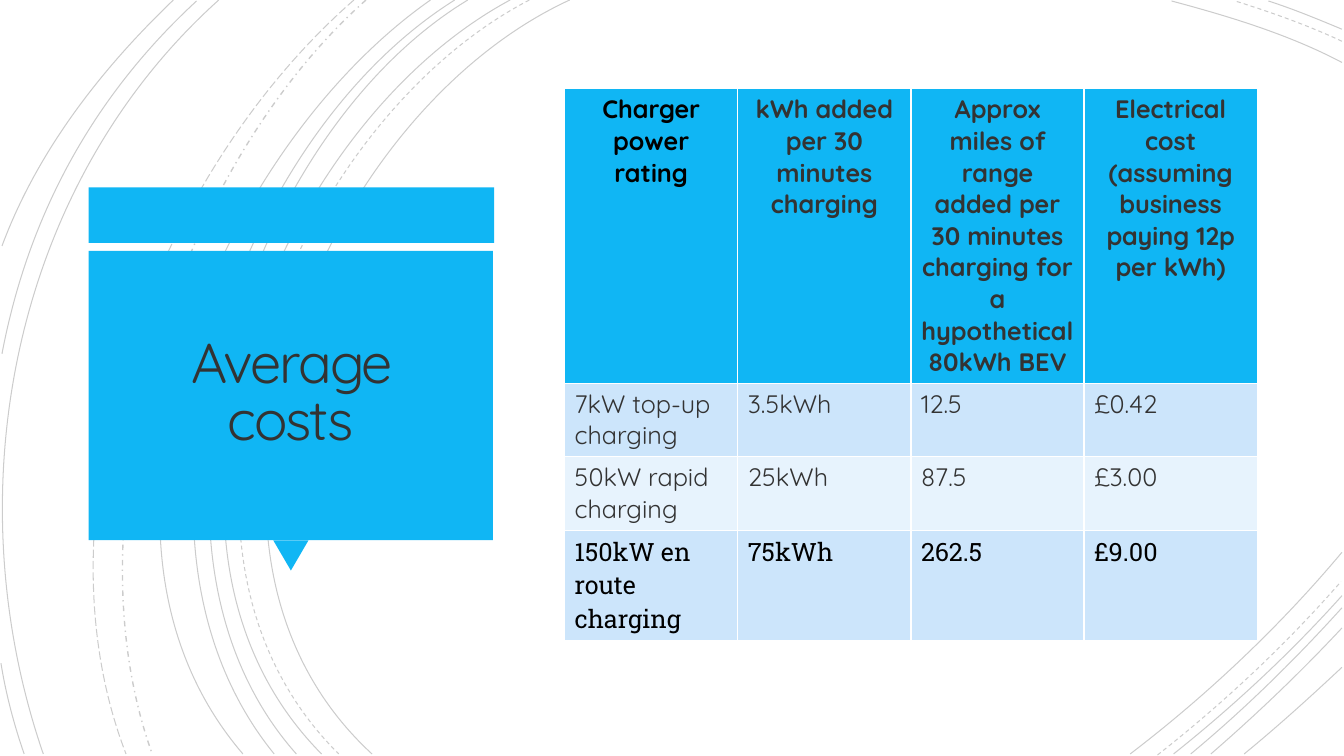
"""Build the average charging costs slide."""
from lxml import etree
from pptx import Presentation
from pptx.dml.color import RGBColor
from pptx.enum.dml import MSO_LINE
from pptx.enum.shapes import MSO_SHAPE
from pptx.enum.text import MSO_ANCHOR, PP_ALIGN
from pptx.oxml.ns import qn
from pptx.util import Pt

PX = 9144
RECTANGLE, TRIANGLE = MSO_SHAPE.RECTANGLE, MSO_SHAPE.ISOSCELES_TRIANGLE
SOLID, DASH = MSO_LINE.SOLID, MSO_LINE.DASH
DASH_DOT, LONG_DASH = MSO_LINE.DASH_DOT, MSO_LINE.LONG_DASH
CENTER, LEFT, MIDDLE = PP_ALIGN.CENTER, PP_ALIGN.LEFT, MSO_ANCHOR.MIDDLE
TITLE_ONLY = 5
COLORS = {"blue": "10B6F4", "band": "CCE5FB", "pale": "E7F3FD",
          "text": "333333", "black": "000000"}
SANS, SERIF = "Quicksand", "Roboto Slab"


def color(name):
    return RGBColor.from_string(COLORS[name])


def style_text(para, font, size, color_name, bold, alignment):
    para.alignment = alignment
    for span in para.runs:
        span.font.name = font
        span.font.size = Pt(size)
        span.font.bold = bold
        span.font.color.rgb = color(color_name)


deck = Presentation()
deck.slide_width, deck.slide_height = 1333 * PX, 750 * PX
page = deck.slides.add_slide(deck.slide_layouts[TITLE_ONLY])
shapes = page.shapes

arcs = {
    (SOLID, 0.75): [
        [(565, 0), (315, 115), (143, 540), (369, 748)],
        [(1331, 62), (1278, 34), (1218, 16), (1162, 1)],
        [(1121, 748), (1197, 690), (1269, 622), (1331, 548)],
        [(506, 0), (270, 127), (110, 537), (319, 748)],
        [(1331, 29), (1307, 19), (1283, 9), (1258, 1)],
        [(1164, 748), (1223, 701), (1280, 648), (1331, 591)],
        [(464, 0), (244, 133), (110, 541), (294, 748)],
        [(1181, 748), (1234, 704), (1284, 655), (1331, 603)],
        [(451, 0), (231, 138), (97, 533), (272, 748)],
        [(1201, 748), (1246, 709), (1290, 667), (1331, 623)],
        [(427, 0), (217, 147), (53, 529), (241, 748)],
        [(1234, 748), (1267, 721), (1299, 692), (1331, 662)],
        [(217, 0), (11, 185), (-46, 490), (43, 748)],
        [(195, 1), (92, 96), (28, 214), (2, 351)],
        [(1, 658), (6, 689), (14, 719), (24, 748)],
        [(172, 0), (100, 69), (37, 150), (2, 244)],
    ],
    (DASH, 0.75): [
        [(525, 0), (285, 125), (123, 537), (336, 748)],
        [(1331, 41), (1297, 25), (1260, 12), (1225, 1)],
        [(1148, 749), (1213, 698), (1275, 640), (1330, 577)],
    ],
    (DASH_DOT, 1): [[(363, 0), (176, 166), (65, 509), (151, 748)]],
    (LONG_DASH, 0.75): [[(351, 0), (157, 169), (29, 499), (125, 748)]],
}
for (dash, weight), curves in arcs.items():
    for start, *controls in curves:
        builder = shapes.build_freeform(*start, scale=PX)
        builder.add_line_segments(controls, close=False)
        arc = builder.convert_to_shape()
        arc.shadow.inherit = False
        arc.fill.background()
        arc.line.width = Pt(weight)
        arc.line.dash_style = dash
        arc.line.color.rgb = color("black")
        ink = next(arc.line._ln.iter(qn("a:srgbClr")))
        etree.SubElement(ink, qn("a:alpha"), val="20000")
        outline = next(arc._element.iter(qn("a:path")))
        bezier = etree.SubElement(outline, qn("a:cubicBezTo"))
        for segment in outline.findall(qn("a:lnTo")):
            bezier.append(segment[0])
            outline.remove(segment)

panels = [
    (RECTANGLE, 88, 186, 402, 55, 0),
    (TRIANGLE, 271, 536, 35, 30, 180),
    (RECTANGLE, 88, 249, 401, 287, 0),
]
for kind, left, top, width, height, rotation in panels:
    panel = shapes.add_shape(kind, left * PX, top * PX, width * PX, height * PX)
    panel.rotation = rotation
    panel.shadow.inherit = False
    panel.fill.solid()
    panel.fill.fore_color.rgb = color("blue")
    panel.line.fill.background()

title = shapes.title
shapes._spTree.append(title._element)
title.left, title.top, title.width, title.height = 97 * PX, 257 * PX, 383 * PX, 269 * PX
frame = title.text_frame
frame.text = "Average costs"
frame.word_wrap = True
frame.vertical_anchor = MIDDLE
frame.margin_left = frame.margin_right = frame.margin_top = frame.margin_bottom = 25 * PX
heading = frame.paragraphs[0]
heading.line_spacing = 0.85
style_text(heading, SANS, 40, "text", False, CENTER)
heading.runs[0].font._element.set("spc", "-150")

rows = [
    ["Charger power rating", "kWh added per 30 minutes charging",
     "Approx miles of range added per 30 minutes charging for a hypothetical 80kWh BEV",
     "Electrical cost (assuming business paying 12p per kWh)"],
    ["7kW top-up charging", "3.5kWh", "12.5", "£0.42"],
    ["50kW rapid charging", "25kWh", "87.5", "£3.00"],
    ["150kW en route charging", "75kWh", "262.5", "£9.00"],
]
row_styles = [
    (291, "blue", SANS, "text", True, CENTER),
    (73, "band", SANS, "text", False, LEFT),
    (73, "pale", SANS, "text", False, LEFT),
    (109, "band", SERIF, "black", False, LEFT),
]
costs = shapes.add_table(4, 4, 560 * PX, 88 * PX, 687 * PX, 546 * PX).table
for row_index, (texts, row_style) in enumerate(zip(rows, row_styles)):
    height, fill, font, text_color, bold, alignment = row_style
    costs.rows[row_index].height = height * PX
    for column_index, text in enumerate(texts):
        cell = costs.cell(row_index, column_index)
        cell.text = text
        cell.fill.solid()
        cell.fill.fore_color.rgb = color(fill)
        style_text(cell.text_frame.paragraphs[0], font, 18, text_color, bold, alignment)
corner = costs.cell(0, 0).text_frame.paragraphs[0]
style_text(corner, SANS, 18, "black", True, CENTER)

deck.save("out.pptx")
